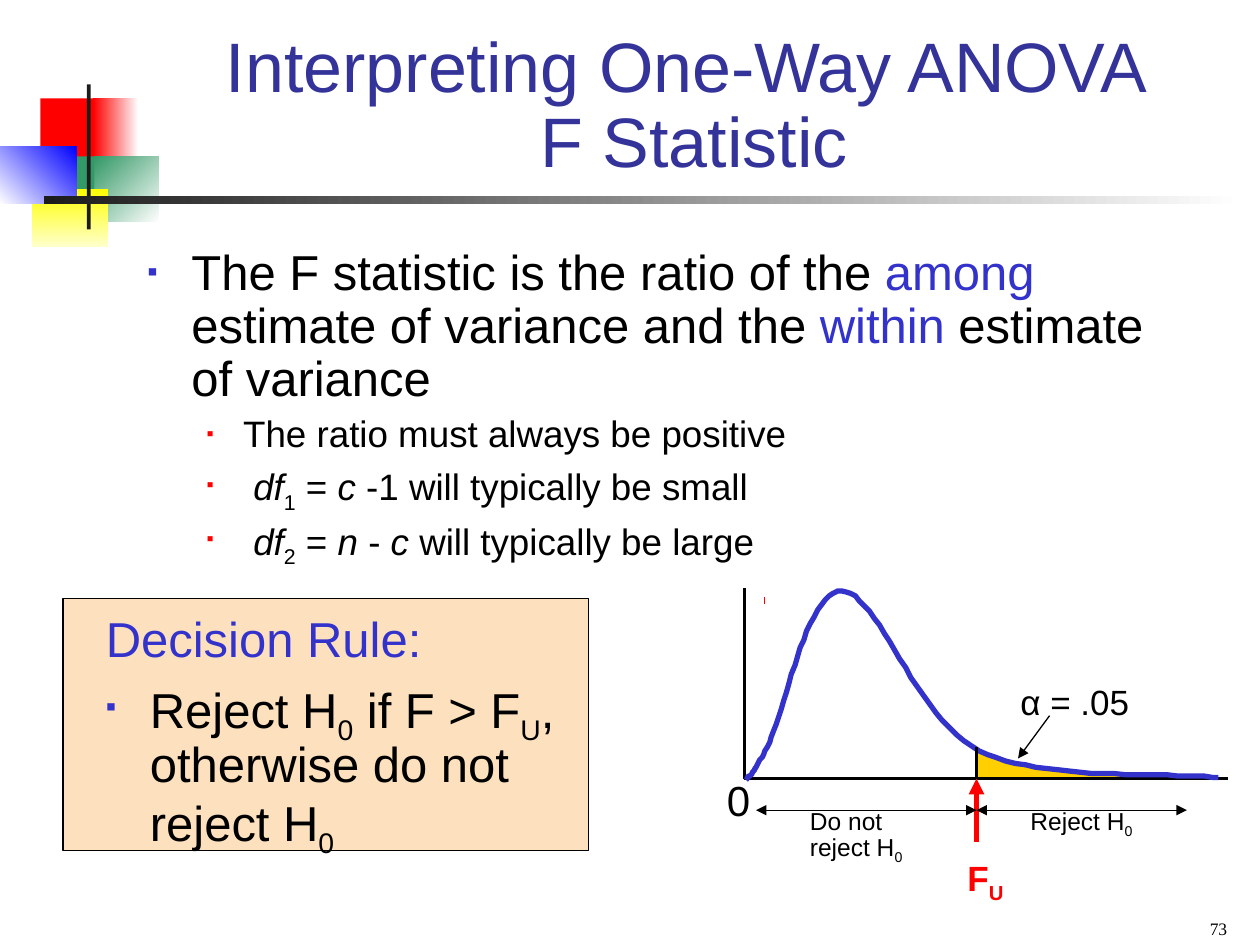
from dataclasses import dataclass

from lxml.etree import SubElement
from pptx import Presentation
from pptx.dml.color import RGBColor as RGB
from pptx.enum.shapes import MSO_CONNECTOR as Connector, MSO_SHAPE as Shape
from pptx.enum.text import MSO_ANCHOR as Anchor, PP_ALIGN as Align
from pptx.oxml.ns import qn
from pptx.util import Pt

PX = 9144


@dataclass(frozen=True)
class Theme:
    font: str = "Arial"
    number_font: str = "Times New Roman"
    title: str = "333399"
    accent: str = "3333CC"
    text: str = "000000"
    paper: str = "FFFFFF"
    dark: str = "1C1C1C"
    red: str = "FF0000"
    green: str = "339966"
    blue: str = "0000FF"
    yellow: str = "FFFF00"
    pale_yellow: str = "FFFFCC"
    panel: str = "FDE0BD"
    tail_area: str = "FFCF01"
    title_size: int = 40
    body_size: int = 28
    sub_size: int = 21
    zero_size: int = 24
    zero_space_size: int = 36
    label_size: int = 20
    note_size: int = 14
    number_size: int = 10


theme = Theme()
deck = Presentation()
deck.slide_width, deck.slide_height = 1000 * PX, 750 * PX
page = deck.slides.add_slide(deck.slide_layouts[6])


def write(area, paragraphs, *, size, color=theme.text, font=theme.font, bold=False,
          align=Align.LEFT, anchor=Anchor.TOP, inset=10):
    box = page.shapes.add_textbox(*[value * PX for value in area])
    frame = box.text_frame
    frame.word_wrap = True
    frame.vertical_anchor = anchor
    frame.margin_left = frame.margin_right = inset * PX
    frame.margin_top = frame.margin_bottom = 5 * PX
    for index, (layout, spans) in enumerate(paragraphs):
        para = frame.paragraphs[0] if index == 0 else frame.add_paragraph()
        props = para._p.get_or_add_pPr()
        if "indent" in layout:
            left, hanging = layout["indent"]
            props.set("marL", str(left * PX))
            props.set("indent", str(-hanging * PX))
        if "bullet" in layout:
            bullet_color, percent = layout["bullet"]
            SubElement(SubElement(props, qn("a:buClr")), qn("a:srgbClr"), val=bullet_color)
            SubElement(props, qn("a:buSzPct"), val=str(percent * 1000))
            SubElement(props, qn("a:buFont"), typeface=theme.font)
            SubElement(props, qn("a:buChar"), char="▪")
        para.alignment = align
        para.line_spacing = layout.get("spacing", 1.0)
        if index:
            para.space_before = Pt(layout.get("before", 0))
        for content, look in spans:
            if content == "\n":
                para.add_line_break()
                continue
            span = para.add_run()
            span.text = content
            span.font.name = font
            span.font.size = Pt(look.get("size", layout.get("size", size)))
            span.font.bold = bold
            span.font.italic = look.get("italic", False)
            span.font.color.rgb = RGB.from_string(look.get("color", layout.get("color", color)))
            if look.get("sub"):
                span._r.get_or_add_rPr().set("baseline", "-25000")


def draw_path(points, *, fill=None, line=None, width=0):
    builder = page.shapes.build_freeform(*points[0], scale=PX)
    builder.add_line_segments(points[1:], close=fill is not None)
    outline = builder.convert_to_shape()
    outline.shadow.inherit = False
    if fill:
        outline.fill.solid()
        outline.fill.fore_color.rgb = RGB.from_string(fill)
    else:
        outline.fill.background()
    if line:
        outline.line.color.rgb = RGB.from_string(line)
        outline.line.width = Pt(width)
    else:
        outline.line.fill.background()


blocks = [
    ((32, 78, 48, 52), [theme.red], 0),
    ((74, 78, 36, 52), [theme.paper, theme.red], 180),
    ((75, 124, 51, 52), [theme.paper, theme.green], 225),
    ((43, 124, 32, 52), [theme.green], 0),
    ((25, 150, 61, 46), [theme.yellow, theme.pale_yellow], 90),
    ((0, 116, 61, 46), [theme.blue, theme.paper], 135),
    ((69, 67, 3, 115), [theme.dark], 0),
    ((35, 156, 951, 6), [theme.paper, theme.dark], 180),
    ((50, 475, 417, 200), [theme.panel], 0),
]
for area, colors, angle in blocks:
    block = page.shapes.add_shape(Shape.RECTANGLE, *[value * PX for value in area])
    block.shadow.inherit = False
    block.line.fill.background()
    if len(colors) == 1:
        block.fill.solid()
        block.fill.fore_color.rgb = RGB.from_string(colors[0])
    else:
        block.fill.gradient()
        block.fill.gradient_angle = 360 - angle
        for position, (stop, color) in enumerate(zip(block.fill.gradient_stops, colors)):
            stop.position = position
            stop.color.rgb = RGB.from_string(color)
decision_panel = block
decision_panel.line.color.rgb = RGB.from_string(theme.text)
decision_panel.line.width = Pt(0.75)

plain, italic, sub, accent = {}, {"italic": True}, {"sub": True}, {"color": theme.accent}
main_point = {"indent": (35, 35), "bullet": (theme.accent, 60), "spacing": 0.9, "before": 7}
sub_point = {"indent": (76, 29), "bullet": (theme.red, 55), "spacing": 0.9, "before": 5.2,
             "size": theme.sub_size}

write((125, 25, 852, 125),
      [({"spacing": 0.9}, [("Interpreting One-Way ANOVA ", plain), ("\n", plain),
                           ("F Statistic", plain)])],
      size=theme.title_size, color=theme.title, align=Align.CENTER, anchor=Anchor.BOTTOM, inset=9)

write((108, 192, 817, 260), [
    (main_point, [("The F statistic is the ratio of the ", plain), ("among", accent),
                  (" estimate of variance and the ", plain), ("within", accent),
                  (" estimate of variance", plain)]),
    (sub_point, [("The ratio must always be positive", plain)]),
    (sub_point, [(" df", italic), ("1", sub), (" = ", plain), ("c", italic),
                 (" -1 will typically be small", plain)]),
    (sub_point, [(" df", italic), ("2", sub), (" = ", plain), ("n", italic), (" - ", plain),
                 ("c", italic), (" will typically be large", plain)]),
], size=theme.body_size, inset=9)

write((75, 483, 400, 199), [
    ({"indent": (35, 35), "spacing": 0.9, "color": theme.accent}, [("Decision Rule:", plain)]),
    (main_point, [("Reject H", plain), ("0", sub), (" if F > F", plain), ("U", sub),
                  (", otherwise do not reject H", plain), ("0", sub)]),
], size=theme.body_size, inset=9)

draw_path([(775, 618), (774, 593), (789, 599), (801, 603), (811, 605), (823, 608), (849, 611),
           (877, 613), (944, 616), (944, 618)], fill=theme.tail_area)
draw_path([(591, 467), (591, 618), (975, 618)], line=theme.text, width=2)

knots = [(592, 619), (595, 615), (596, 618), (609, 593), (622, 568), (640, 468), (668, 469),
         (696, 469), (727, 571), (777, 596), (827, 620), (927, 613), (967, 617)]
steps = 24
curve = knots[:1]
for start in range(0, len(knots) - 1, 3):
    for step in range(1, steps + 1):
        t = step / steps
        weights = ((1 - t) ** 3, 3 * t * (1 - t) ** 2, 3 * t ** 2 * (1 - t), t ** 3)
        curve.append(tuple(sum(weight * knot[axis] for weight, knot
                               in zip(weights, knots[start:start + 4])) for axis in (0, 1)))
draw_path(curve, line=theme.accent, width=3)

connectors = [
    ((606, 477, 607, 477), theme.red, 4, []),
    ((775, 593, 775, 618), theme.text, 1.5, []),
    ((833, 568, 808, 602), theme.text, 0.75, ["tailEnd"]),
    ((775, 668, 775, 618), theme.red, 3, ["tailEnd"]),
    ((775, 643, 600, 643), theme.text, 0.75, ["headEnd", "tailEnd"]),
    ((942, 643, 775, 643), theme.text, 0.75, ["headEnd", "tailEnd"]),
]
for ends, color, width, arrowheads in connectors:
    connector = page.shapes.add_connector(Connector.STRAIGHT, *[value * PX for value in ends])
    connector.line.color.rgb = RGB.from_string(color)
    connector.line.width = Pt(width)
    for arrowhead in arrowheads:
        SubElement(connector.line._get_or_add_ln(), qn(f"a:{arrowhead}"), type="triangle")
    SubElement(connector._element.spPr, qn("a:effectLst"))

write((567, 593, 50, 70), [(plain, [("0", plain), (" ", {"size": theme.zero_space_size})])],
      size=theme.zero_size)
write((800, 535, 117, 44), [(plain, [("α = .05", plain)])], size=theme.label_size)
write((808, 635, 108, 36), [(plain, [("Reject H", plain), ("0", sub)])], size=theme.note_size)
write((633, 635, 100, 51),
      [(plain, [("Do not", plain)]),
       ({"spacing": 0.2, "before": 8.8}, [("reject H", plain), ("0", sub)])],
      size=theme.note_size)
write((758, 675, 67, 48), [(plain, [("F", plain), ("U", sub)])],
      size=theme.label_size, color=theme.red, bold=True)
write((750, 715, 233, 35), [(plain, [("73", plain)])], size=theme.number_size,
      font=theme.number_font, align=Align.RIGHT, anchor=Anchor.BOTTOM, inset=9)

deck.save("out.pptx")
